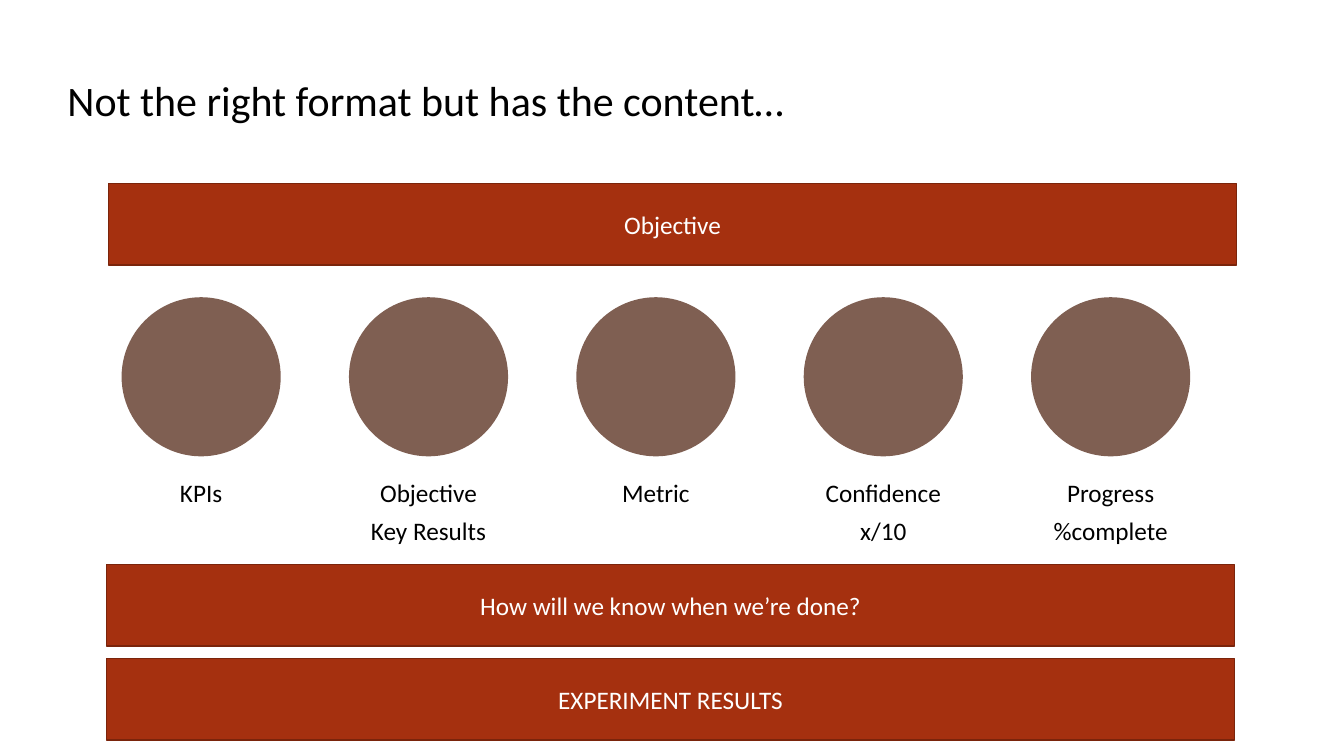
from dataclasses import dataclass

from pptx import Presentation
from pptx import util as u
from pptx.dml.color import RGBColor
from pptx.enum import shapes, text

# Content
TITLE = "Not the right format but has the content…"
COLUMNS = [
    ["KPIs"],
    ["Objective", "Key Results"],
    ["Metric"],
    ["Confidence", "x/10"],
    ["Progress", "%complete"],
]
BARS = [  # text, left, top in cm
    ("Objective", 2.74, 4.62),
    ("How will we know when we’re done?", 2.69, 14.22),
    ("EXPERIMENT RESULTS", 2.69, 16.59),
]


@dataclass(frozen=True)
class Theme:
    font: str = "Calibri"
    title_size: int = 30
    body_size: int = 18
    ink: str = "000000"
    light: str = "FFFFFF"
    circle: str = "7F5F52"
    bar: str = "A5300F"
    bar_line: str = "7A240B"


T = Theme()

# Layout in cm
FIRST_CENTER, PITCH = 5.07, 5.73
CIRCLE_TOP, CIRCLE_SIZE = 7.49, 4.01
LABEL_TOP, LABEL_W, LABEL_H = 11.99, 4.65, 3.76
BAR_W, BAR_H = 28.42, 2.06


def box(left, top, width, height):
    return [u.Cm(v) for v in (left, top, width, height)]


def write(sp, lines, size, color, align, anchor, spacing=1.0):
    tf = sp.text_frame
    tf.word_wrap = True
    tf.auto_size = text.MSO_AUTO_SIZE.NONE
    tf.vertical_anchor = anchor
    tf.text = "\n".join(lines)
    for i, p in enumerate(tf.paragraphs):
        p.alignment = align
        p.line_spacing = spacing
        p.space_before = u.Pt(8 if i else 0)
        for r in p.runs:
            r.font.name = T.font
            r.font.size = u.Pt(size)
            r.font.color.rgb = RGBColor.from_string(color)
    return tf


def add_filled(s, kind, place, fill, line=None):
    sp = s.shapes.add_shape(kind, *place)
    sp.shadow.inherit = False
    sp.fill.solid()
    sp.fill.fore_color.rgb = RGBColor.from_string(fill)
    if line:
        sp.line.color.rgb = RGBColor.from_string(line)
        sp.line.width = u.Pt(1)
    else:
        sp.line.fill.background()
    return sp


def main():
    prs = Presentation()
    prs.slide_width, prs.slide_height = u.Cm(33.87), u.Cm(19.05)
    s = prs.slides.add_slide(prs.slide_layouts[5])
    center, left = text.PP_ALIGN.CENTER, text.PP_ALIGN.LEFT
    top, middle = text.MSO_ANCHOR.TOP, text.MSO_ANCHOR.MIDDLE

    # Title
    title = s.shapes.title
    title.left, title.top, title.width, title.height = box(1.7, 1.4, 30.58, 2.39)
    tf = write(title, [TITLE], T.title_size, T.ink, left, middle, 0.9)
    tf.margin_left = 0

    # Circles with their labels, sharing one axis per column
    for i, lines in enumerate(COLUMNS):
        axis = FIRST_CENTER + i * PITCH
        place = box(axis - CIRCLE_SIZE / 2, CIRCLE_TOP, CIRCLE_SIZE, CIRCLE_SIZE)
        add_filled(s, shapes.MSO_SHAPE.OVAL, place, T.circle)
        label = s.shapes.add_textbox(*box(axis - LABEL_W / 2, LABEL_TOP, LABEL_W, LABEL_H))
        tf = write(label, lines, T.body_size, T.ink, center, top, 0.9)
        tf.margin_left = tf.margin_right = 0

    # Full-width bars
    for caption, x, y in BARS:
        bar = add_filled(s, shapes.MSO_SHAPE.RECTANGLE, box(x, y, BAR_W, BAR_H), T.bar, T.bar_line)
        write(bar, [caption], T.body_size, T.light, center, middle)

    prs.save("out.pptx")


if __name__ == "__main__":
    main()
